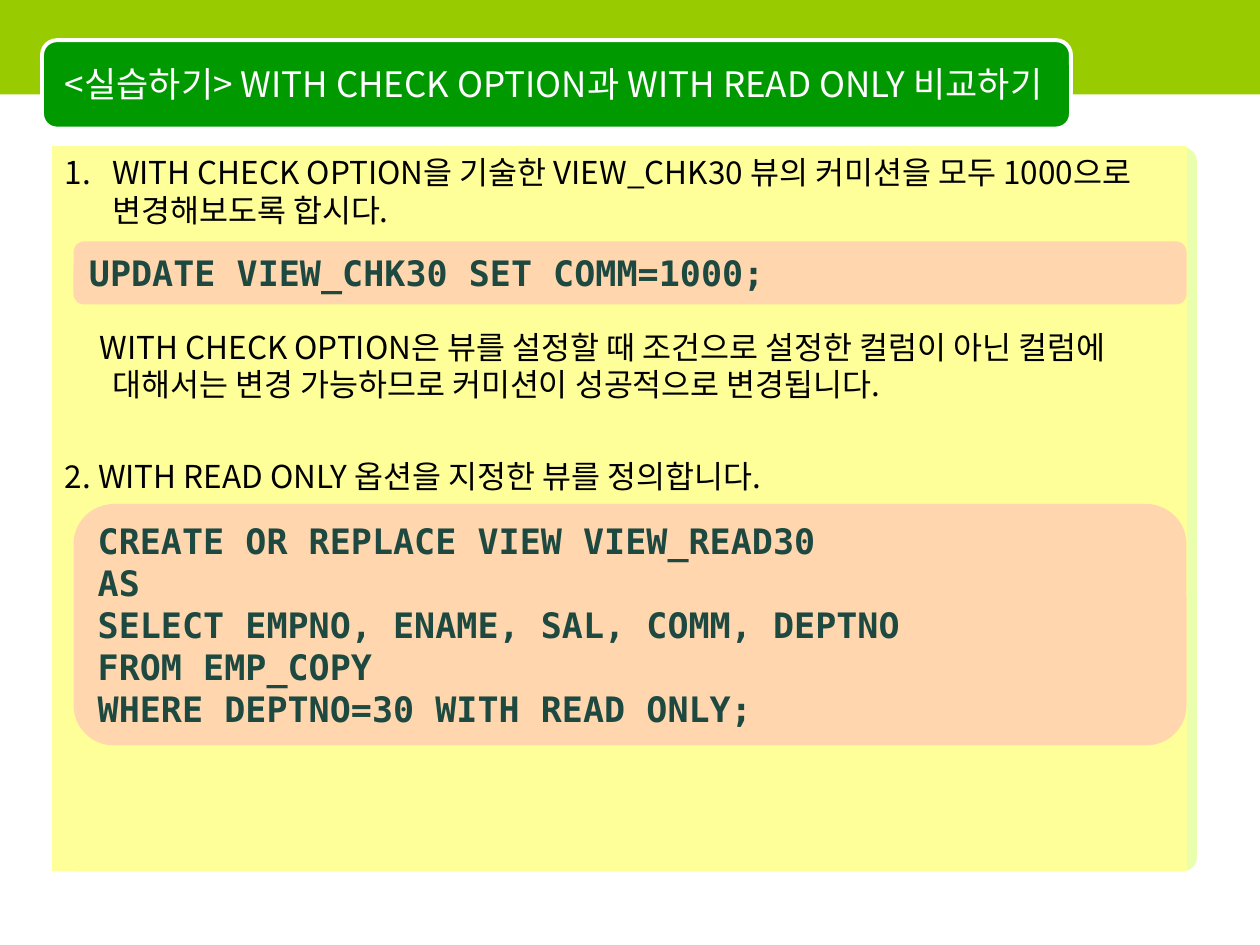
from dataclasses import dataclass

from lxml import etree
from pptx import Presentation
from pptx.dml.color import RGBColor
from pptx.enum.shapes import MSO_SHAPE
from pptx.enum.text import MSO_ANCHOR, PP_ALIGN
from pptx.oxml.ns import qn
from pptx.util import Pt

RECTANGLE = MSO_SHAPE.RECTANGLE
ROUNDED = MSO_SHAPE.ROUNDED_RECTANGLE
TOP, MIDDLE = MSO_ANCHOR.TOP, MSO_ANCHOR.MIDDLE
LEFT = PP_ALIGN.LEFT


@dataclass(frozen=True)
class Theme:
    band: str = "99CC00"
    title_bar: str = "009900"
    white: str = "FFFFFF"
    lime: str = "CCFF33"
    panel: str = "FFFF99"
    code_fill: str = "FF99CC"
    code_text: str = "1D4940"
    body_text: str = "000000"
    body_font: str = "Noto Sans CJK KR"
    code_font: str = "DejaVu Sans Mono"
    title_size: int = 20
    body_size: int = 18
    code_size: int = 20
    line_factor: float = 1.2


THEME = Theme()
CODE_LEFT, CODE_WIDTH = 42, 636
HANGING = 27

UPDATE_CODE = ["UPDATE VIEW_CHK30 SET COMM=1000;"]
VIEW_CODE = [
    "CREATE OR REPLACE VIEW VIEW_READ30",
    "AS",
    "SELECT EMPNO, ENAME, SAL, COMM, DEPTNO",
    "FROM EMP_COPY",
    "WHERE DEPTNO=30 WITH READ ONLY;",
]
# Text, first-line indent, space before, automatic number
STEPS = [
    ("WITH CHECK OPTION을 기술한 VIEW_CHK30 뷰의 커미션을 모두 1000으로 변경해보도록 합시다.",
     -HANGING, 0, True),
    ("WITH CHECK OPTION은 뷰를 설정할 때 조건으로 설정한 컬럼이 아닌 컬럼에 대해서는 "
     "변경 가능하므로 커미션이 성공적으로 변경됩니다.", -7, 56.5, False),
    ("2. WITH READ ONLY 옵션을 지정한 뷰를 정의합니다.", -HANGING, 30.5, False),
]


def add_block(slide, kind, box, color, alpha=None, line=None, line_width=0.75, radius=None):
    shape = slide.shapes.add_shape(kind, *map(Pt, box))
    shape.shadow.inherit = False
    shape.fill.solid()
    shape.fill.fore_color.rgb = RGBColor.from_string(color)
    if alpha is not None:
        color_element = shape.fill._xPr.find(".//" + qn("a:srgbClr"))
        etree.SubElement(color_element, qn("a:alpha")).set("val", str(alpha * 1000))
    if line:
        shape.line.color.rgb = RGBColor.from_string(line)
        shape.line.width = Pt(line_width)
    else:
        shape.line.fill.background()
    if radius is not None:
        shape.adjustments[0] = radius
    return shape


def style_paragraph(paragraph, font_name, size, color, bold=False):
    paragraph.alignment = LEFT
    paragraph.line_spacing = Pt(size * THEME.line_factor)
    font = paragraph.font
    font.name, font.size, font.bold = font_name, Pt(size), bold
    font.color.rgb = RGBColor.from_string(color)
    defaults = paragraph._p.pPr.find(qn("a:defRPr"))
    etree.SubElement(defaults, qn("a:ea")).set("typeface", font_name)


def prepare_frame(shape, anchor):
    frame = shape.text_frame
    frame.word_wrap = True
    frame.vertical_anchor = anchor
    return frame


def fill_paragraphs(frame, texts):
    """Put each text in its own paragraph and yield the paragraphs."""
    for index, text in enumerate(texts):
        paragraph = frame.add_paragraph() if index else frame.paragraphs[0]
        paragraph.text = text
        yield paragraph


def add_title(slide, text):
    add_block(slide, ROUNDED, (24, 23, 588, 50.5), THEME.title_bar,
              line=THEME.white, line_width=2.25)
    box = slide.shapes.add_textbox(*map(Pt, (30, 25, 588, 45)))
    frame = prepare_frame(box, MIDDLE)
    for paragraph in fill_paragraphs(frame, [text]):
        style_paragraph(paragraph, THEME.body_font, THEME.title_size, THEME.white)


def add_steps(slide):
    panel = add_block(slide, RECTANGLE, (30, 84, 648, 413.5), THEME.panel, line=THEME.panel)
    frame = prepare_frame(panel, TOP)
    paragraphs = fill_paragraphs(frame, [step[0] for step in STEPS])
    for paragraph, (_, indent, space, numbered) in zip(paragraphs, STEPS):
        properties = paragraph._p.get_or_add_pPr()
        properties.set("marL", str(Pt(HANGING)))
        properties.set("indent", str(Pt(indent)))
        if numbered:
            number = etree.SubElement(properties, qn("a:buAutoNum"))
            number.set("type", "arabicPeriod")
        if space:
            paragraph.space_before = Pt(space)
        style_paragraph(paragraph, THEME.body_font, THEME.body_size, THEME.body_text)


def add_code(slide, top, height, lines):
    shape = add_block(slide, ROUNDED, (CODE_LEFT, top, CODE_WIDTH, height),
                      THEME.code_fill, alpha=40)
    frame = prepare_frame(shape, MIDDLE)
    for paragraph in fill_paragraphs(frame, lines):
        style_paragraph(paragraph, THEME.code_font, THEME.code_size, THEME.code_text, bold=True)


def main():
    presentation = Presentation()
    presentation.slide_width, presentation.slide_height = Pt(720), Pt(540)
    slide = presentation.slides.add_slide(presentation.slide_layouts[6])
    add_block(slide, ROUNDED, (36, 84, 648, 414), THEME.lime, alpha=40, radius=0.02)
    add_block(slide, RECTANGLE, (0, 0, 720, 54), THEME.band)
    add_title(slide, "<실습하기> WITH CHECK OPTION과 WITH READ ONLY 비교하기")
    add_steps(slide)
    add_code(slide, 138, 36, UPDATE_CODE)
    add_code(slide, 288, 138, VIEW_CODE)
    presentation.save("out.pptx")


if __name__ == "__main__":
    main()
